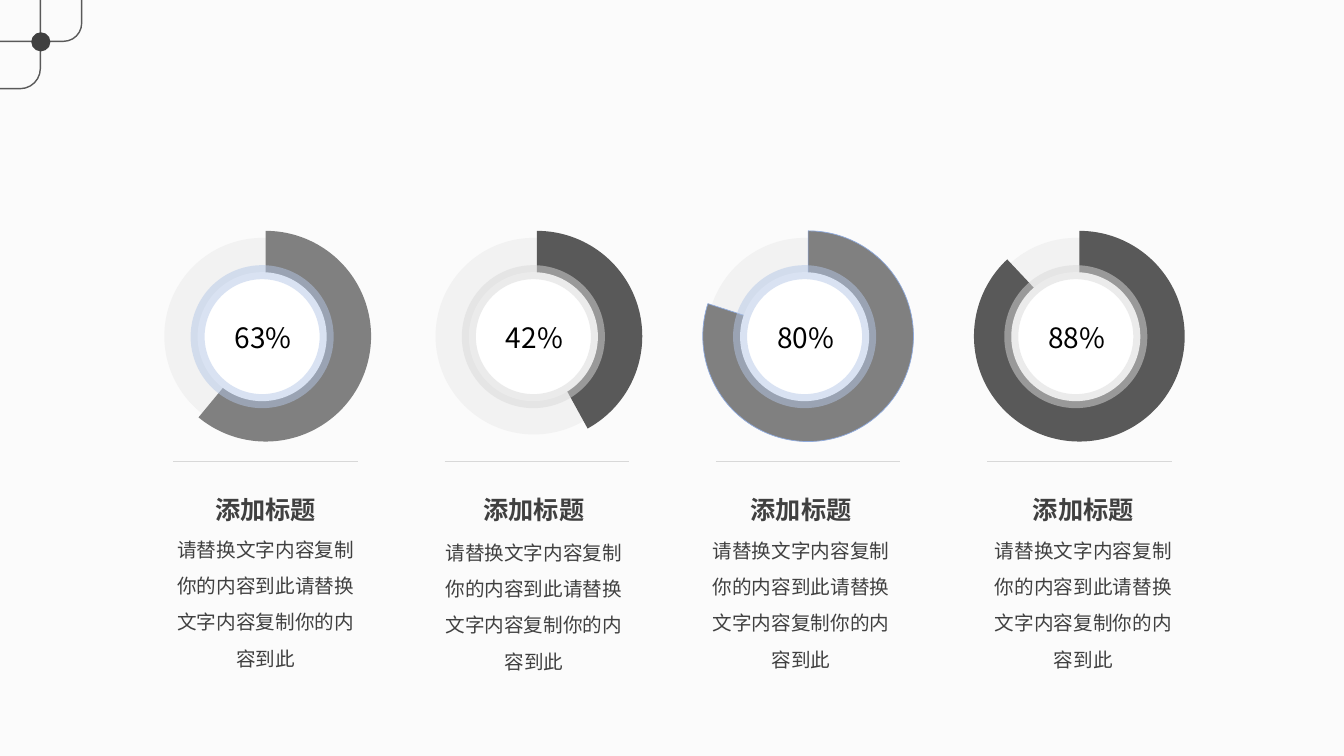
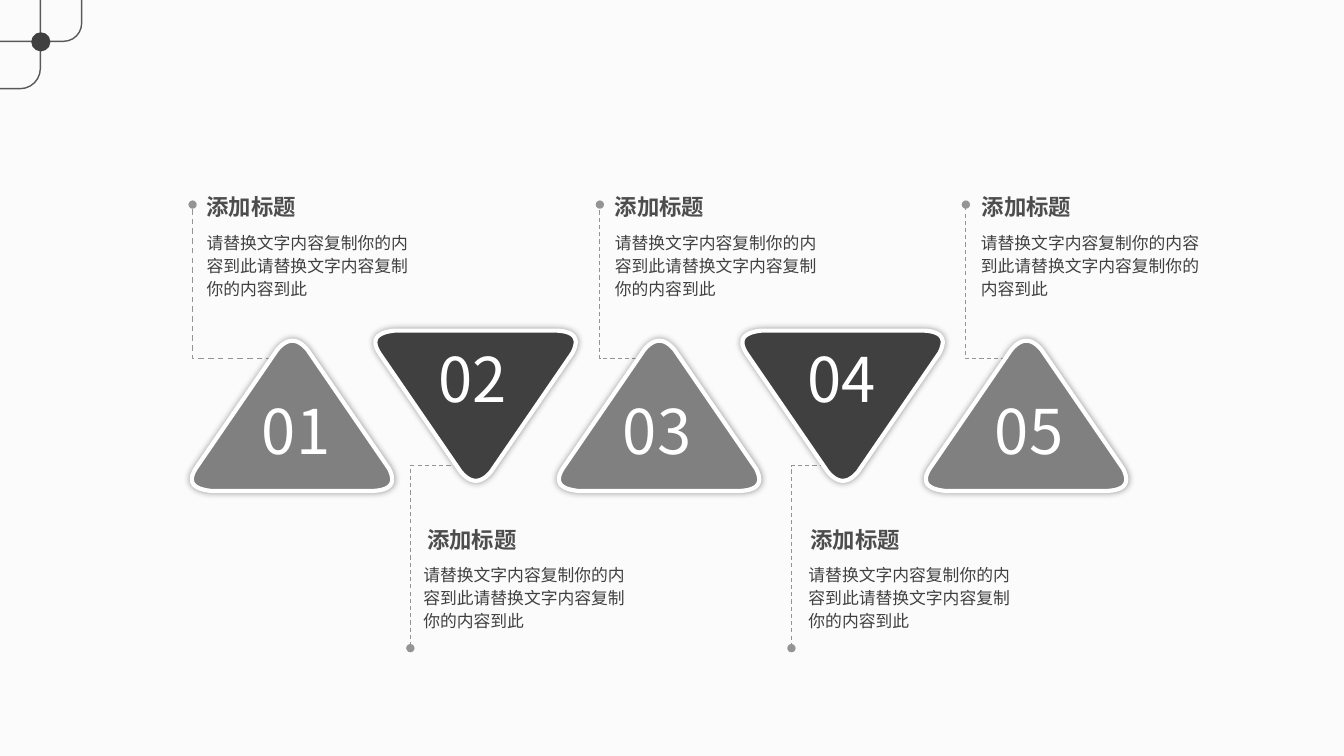
from lxml import etree
from pptx import Presentation
from pptx import util as u
from pptx.dml import color
from pptx.enum import dml, shapes, text
from pptx.oxml import ns

FONT = "Noto Sans CJK SC"
PAPER, PALE, RULE, WHITE, BLACK = "FBFBFB", "F2F2F2", "D8D8D8", "FFFFFF", "000000"
GREY, DARK, INK, HEAD, WIRE = "808080", "595959", "404040", "4D4D4D", "949494"
BLUE, SILVER, EDGE = "B4C7E7", "D9D9D9", "8FAADC"
TITLE = "添加标题"
BODY = "请替换文字内容复制你的内容到此" * 2
KIND = shapes.MSO_SHAPE
MID = text.PP_ALIGN.CENTER
CORNERS = [
    [(2, 1.3), (2.07, 1.44), (2.02, 1.51), (1.85, 1.52)],
    [(0.23, 1.52), (0.05, 1.5), (0, 1.43), (0.08, 1.3)],
    [(0.89, 0.12), (0.99, 0), (1.09, 0), (1.19, 0.12)],
]


def rgb(code):
    return color.RGBColor.from_string(code)


def node(root, tag, **attrs):
    return etree.SubElement(root, ns.qn("a:" + tag), attrs)


def curve(ends, steps=12):
    for i in range(steps + 1):
        t = i / steps
        parts = ((1 - t) ** 3, 3 * t * (1 - t) ** 2, 3 * t * t * (1 - t), t ** 3)
        yield tuple(sum(w * p[k] for w, p in zip(parts, ends)) for k in (0, 1))


class Deck:
    def __init__(self):
        self.show = Presentation()
        self.show.slide_width = u.Inches(13.33)
        self.show.slide_height = u.Inches(7.5)
        fill = self.show.slide_master.background.fill
        fill.solid()
        fill.fore_color.rgb = rgb(PAPER)

    def start(self):
        self.slide = self.show.slides.add_slide(self.show.slide_layouts[6])
        self.shape(KIND.ROUNDED_RECTANGLE, (-1.37, -0.45, 1.77, 1.33), None, (DARK, 1), [0.15])
        self.shape(KIND.ROUNDED_RECTANGLE, (-0.64, -0.37, 1.45, 0.78), None, (DARK, 1), [0.23])
        self.shape(KIND.OVAL, (0.31, 0.32, 0.19, 0.19), INK)

    def paint(self, item, fill=None, line=None):
        item.shadow.inherit = False
        if fill:
            item.fill.solid()
            item.fill.fore_color.rgb = rgb(fill)
        else:
            item.fill.background()
        if line:
            item.line.color.rgb = rgb(line[0])
            item.line.width = u.Pt(line[1])
        else:
            item.line.fill.background()
        return item

    def shape(self, kind, box, fill=None, line=None, adjust=()):
        item = self.slide.shapes.add_shape(kind, *map(u.Inches, box))
        for i, value in enumerate(adjust):
            item.adjustments[i] = value
        return self.paint(item, fill, line)

    def outline(self, points, fill=None, line=None, close=True):
        spots = [(u.Inches(x), u.Inches(y)) for x, y in points]
        pen = self.slide.shapes.build_freeform(*spots[0], scale=1.0)
        pen.add_line_segments(spots[1:], close=close)
        return self.paint(pen.convert_to_shape(), fill, line)

    def rule(self, x, y, width):
        ends = map(u.Inches, (x, y, x + width, y))
        item = self.slide.shapes.add_connector(shapes.MSO_CONNECTOR.STRAIGHT, *ends)
        item.line.color.rgb = rgb(RULE)
        item.line.width = u.Pt(1)
        node(item._element.spPr, "effectLst")

    def label(self, words, box, size, tint, bold=False, align=None, space=None, wrap=True):
        frame = self.slide.shapes.add_textbox(*map(u.Inches, box)).text_frame
        frame.text = words
        frame.word_wrap = wrap
        frame.auto_size = text.MSO_AUTO_SIZE.SHAPE_TO_FIT_TEXT
        line = frame.paragraphs[0]
        line.alignment = align
        line.line_spacing = space
        run = line.runs[0]
        font = run.font
        font.name, font.size, font.bold = FONT, u.Pt(size), bold
        font.color.rgb = rgb(tint)
        node(run._r.get_or_add_rPr(), "ea", typeface=FONT)

    def gauge(self, x, share, words, fill, ring, line=None):
        self.shape(KIND.OVAL, (x, 2.36, 1.95, 1.95), PALE)
        self.shape(KIND.PIE, (x - 0.04, 2.29, 2.09, 2.09), fill, line, (162, share * 216 - 54))
        hub = self.shape(KIND.OVAL, (x + 0.33, 2.7, 1.28, 1.28), WHITE, (ring, 10))
        tint = hub.line._ln.find(".//" + ns.qn("a:srgbClr"))
        node(tint, "alpha", val="50000")
        self.rule(x + 0.09, 4.58, 1.83)
        self.label(words, (x + 0.6, 3.13, 0.83, 0.44), 20, BLACK)

    def column(self, x, y):
        self.label(TITLE, (x, 4.79, 1.83, 0.45), 18, INK, True, MID, 1.2)
        self.label(BODY, (x - 0.13, y, 2.09, 1.55), 14, INK, align=MID, space=1.54)

    def wire(self, inner, outer, y, end, width):
        points = [(inner, y), (outer, y), (outer, end)]
        item = self.outline(points, line=(WIRE, width), close=False)
        item.line.dash_style = dml.MSO_LINE.DASH
        for tag in ("headEnd", "tailEnd"):
            node(item.line._ln, tag, type="oval")

    def wedge(self, x, y, down, fill):
        points = [(x + a, y + (1.52 - b if down else b)) for c in CORNERS for a, b in curve(c)]
        item = self.outline(points, fill, (WHITE, 3))
        effects = item._element.spPr.find(ns.qn("a:effectLst"))
        shade = node(effects, "outerShdw", blurRad=str(u.Pt(5)), dist="0", algn="ctr", rotWithShape="0")
        node(node(shade, "srgbClr", val=BLACK), "alpha", val="40000")

    def note(self, head, body, y, width):
        self.label(TITLE, (head, y, 1.12, 0.37), 16, HEAD, True, wrap=False)
        self.label(BODY, (body, y + 0.36, width, 0.79), 12, INK, space=1.14)


def gauges(deck):
    deck.start()
    rows = [
        (0.61, "63%", None, 1.72, 5.16),
        (0.42, "42%", None, 4.38, 5.19),
        (0.8, "80%", (EDGE, 0.5), 7.03, 5.17),
        (0.88, "88%", None, 9.83, 5.17),
    ]
    for i, (share, words, line, x, y) in enumerate(rows):
        fill, ring = ((GREY, BLUE), (DARK, SILVER))[i % 2]
        deck.gauge(1.63 + 2.69 * i, share, words, fill, ring, line)
        deck.column(x, y)


def wedges(deck):
    deck.start()
    rows = [
        (2.83, 1.91, 1, 2.5, 1.95, 1.95, 2.35),
        (4.72, 4.07, 0.75, 4.25, 4.14, 4.1, 2.35),
        (6.49, 5.95, 0.75, 6.08, 6, 6, 2.35),
        (8.35, 7.85, 0.75, 7.91, 7.94, 7.92, 2.35),
        (10.15, 9.58, 0.75, 9.77, 9.64, 9.63, 2.51),
    ]
    sides = [(GREY, 3.35, 3.56, 2.03, 3.85, 1.87), (INK, 3.28, 4.62, 6.43, 3.33, 5.17)]
    for i, (inner, outer, weight, mark, head, body, width) in enumerate(rows):
        fill, top, bend, end, row, y = sides[i % 2]
        deck.wire(inner, outer, bend, end, weight)
        deck.wedge(1.86 + 1.82 * i, top, i % 2, fill)
        deck.label(f"{i + 1:02}", (mark, row, 0.88, 0.84), 44, WHITE, wrap=False)
        deck.note(head, body, y, width)


def main():
    deck = Deck()
    gauges(deck)
    wedges(deck)
    deck.show.save("out.pptx")


if __name__ == "__main__":
    main()
